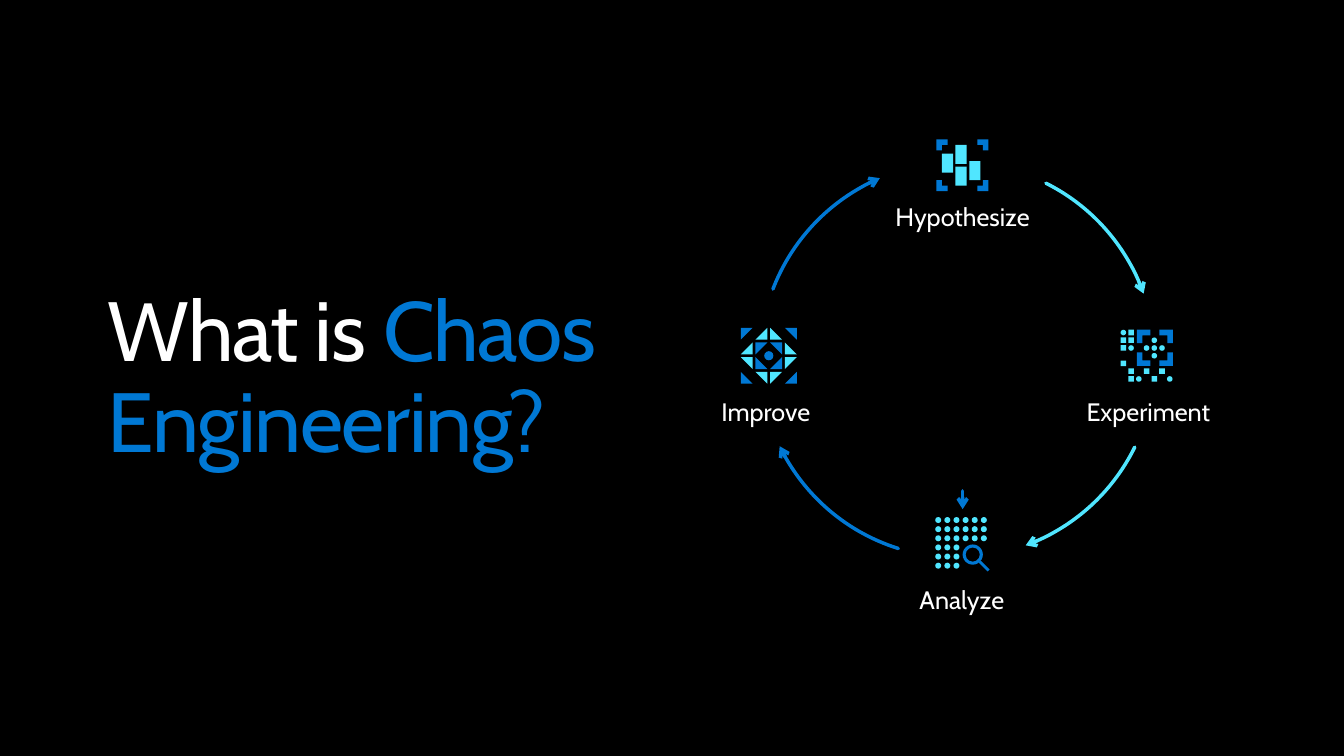
from itertools import product

from lxml import etree
from pptx import Presentation
from pptx.dml.color import RGBColor
from pptx.enum.shapes import MSO_CONNECTOR, MSO_SHAPE
from pptx.enum.text import MSO_ANCHOR, PP_ALIGN
from pptx.oxml.ns import qn
from pptx.util import Cm, Pt

RECT, OVAL, ARC, DONUT = (MSO_SHAPE.RECTANGLE, MSO_SHAPE.OVAL,
                          MSO_SHAPE.ARC, MSO_SHAPE.DONUT)
STRAIGHT = MSO_CONNECTOR.STRAIGHT
MIDDLE, BOTTOM = MSO_ANCHOR.MIDDLE, MSO_ANCHOR.BOTTOM
LEFT, CENTER = PP_ALIGN.LEFT, PP_ALIGN.CENTER

BLACK = RGBColor(0x00, 0x00, 0x00)
WHITE = RGBColor(0xFF, 0xFF, 0xFF)
BLUE = RGBColor(0x00, 0x78, 0xD4)
CYAN = RGBColor(0x50, 0xE6, 0xFF)

# All positions and lengths are in centimetres.
TITLE = [("What is ", WHITE), ("Chaos Engineering?", BLUE)]
TITLE_BOX = (2.72, 7.19, 14.78, 4.67)

LABELS = [  # text, centre x, top
    ("Hypothesize", 24.26, 5.08),
    ("Experiment", 28.94, 9.98),
    ("Analyze", 24.24, 14.73),
    ("Improve", 19.3, 9.98),
]
LABEL_W, LABEL_H = 4.1, 0.86

CYCLE_CENTER, CYCLE_RADIUS = (24.13, 9.07), 4.98
CYCLE_ARCS = [  # start and end in degrees, clockwise from the right
    (296.6, 340.4, CYAN),
    (26.2, 69.8, CYAN),
    (107.4, 154.1, BLUE),
    (201, 246.9, BLUE),
]

HYPOTHESIZE_AT, HYPOTHESIZE_SIDE = (23.6, 3.51), 1.31
BLOCKS = [(0.14, 0.36), (0.48, 0.14), (0.48, 0.69), (0.83, 0.55)]
BLOCK_W, BLOCK_H = 0.28, 0.48

EXPERIMENT_AT, EXPERIMENT_PITCH, EXPERIMENT_CELL = (28.24, 8.31), 1.17 / 6, 0.14
EXPERIMENT_CELLS = [  # o is a dot, # a square
    "o#.....",
    "##..o..",
    "#o.ooo.",
    "....o..",
    "#......",
    ".#.#.#.",
    ".#o.#.o",
]
FOCUS_AT, FOCUS_SIDE = (28.65, 8.31), 0.91

ANALYZE_AT, ANALYZE_PITCH, ANALYZE_DOT = (23.57, 13.03), 0.23, 0.15
ANALYZE_ROWS = [6, 6, 6, 3, 3, 3]
LENS_BOX = (24.26, 13.72, 0.51, 0.51)
LENS_HANDLE = [(24.66, 14.17), (24.71, 14.12), (24.94, 14.35), (24.89, 14.4)]
ANALYZE_ARROW = (24.26, 12.37, 24.26, 12.83)

IMPROVE_AT, IMPROVE_PITCH, IMPROVE_CELL = (18.67, 8.26), 0.37, 0.3
EYE = 0.23

prs = Presentation()
prs.slide_width, prs.slide_height = Cm(33.87), Cm(19.05)
slide = prs.slides.add_slide(prs.slide_layouts[6])
slide.background.fill.solid()
slide.background.fill.fore_color.rgb = BLACK


def paint(sp, color):
    sp.shadow.inherit = False
    sp.fill.solid()
    sp.fill.fore_color.rgb = color
    sp.line.fill.background()
    return sp


def add_solid(shapes, kind, box, color):
    return paint(shapes.add_shape(kind, *map(Cm, box)), color)


def add_polygon(shapes, points, color):
    points = [(Cm(x), Cm(y)) for x, y in points]
    builder = shapes.build_freeform(*points[0])
    builder.add_line_segments(points[1:], close=True)
    return paint(builder.convert_to_shape(), color)


def add_brackets(shapes, at, side, arm, thick=0.14):
    """Four corner brackets that frame a square."""
    outline = [(0, 0), (arm, 0), (arm, thick), (thick, thick), (thick, arm), (0, arm)]
    for right, bottom in product((False, True), repeat=2):
        add_polygon(shapes, [(at[0] + (side - x if right else x),
                              at[1] + (side - y if bottom else y))
                             for x, y in outline], BLUE)


def style_arrow(sp, color):
    sp.line.color.rgb = color
    sp.line.width = Pt(2.5)
    ln = sp.line._get_or_add_ln()
    ln.set("cap", "rnd")
    etree.SubElement(ln, qn("a:tailEnd"), type="arrow")


def add_text(box, runs, size, anchor, align, spacing=None):
    tf = slide.shapes.add_textbox(*map(Cm, box)).text_frame
    frame = {"word_wrap": True, "vertical_anchor": anchor, "margin_left": 0,
             "margin_right": 0, "margin_top": 0, "margin_bottom": 0}
    for name, value in frame.items():
        setattr(tf, name, value)
    p = tf.paragraphs[0]
    p.alignment, p.line_spacing = align, 0.9
    for text, color in runs:
        r = p.add_run()
        r.text = text
        for name, value in {"name": "Cabin", "size": Pt(size)}.items():
            setattr(r.font, name, value)
        r.font.color.rgb = color
        if spacing:
            r.font._element.set("spc", str(spacing))


def add_icon():
    return slide.shapes.add_group_shape().shapes


add_text(TITLE_BOX, TITLE, 60, BOTTOM, LEFT, spacing=-100)

cx, cy = CYCLE_CENTER
for start, end, color in CYCLE_ARCS:
    sp = slide.shapes.add_shape(ARC, Cm(cx - CYCLE_RADIUS), Cm(cy - CYCLE_RADIUS),
                                Cm(2 * CYCLE_RADIUS), Cm(2 * CYCLE_RADIUS))
    sp.shadow.inherit = False
    sp.fill.background()
    for i, angle in enumerate((start, end)):
        sp.adjustments[i] = angle * 0.6  # 60000 units a degree, scaled by 100000
    style_arrow(sp, color)

arrow = slide.shapes.add_connector(STRAIGHT, *map(Cm, ANALYZE_ARROW))
style_arrow(arrow, BLUE)
etree.SubElement(arrow._element.spPr, qn("a:effectLst"))

icon = add_icon()
left, top = HYPOTHESIZE_AT
for dx, dy in BLOCKS:
    add_solid(icon, RECT, (left + dx, top + dy, BLOCK_W, BLOCK_H), CYAN)
add_brackets(icon, HYPOTHESIZE_AT, HYPOTHESIZE_SIDE, arm=0.28)

icon = add_icon()
left, top = ANALYZE_AT
for row, count in enumerate(ANALYZE_ROWS):
    for col in range(count):
        add_solid(icon, OVAL, (left + col * ANALYZE_PITCH, top + row * ANALYZE_PITCH,
                               ANALYZE_DOT, ANALYZE_DOT), CYAN)
add_solid(icon, DONUT, LENS_BOX, BLUE).adjustments[0] = 0.15
add_polygon(icon, LENS_HANDLE, BLUE)

icon = add_icon()
add_brackets(icon, FOCUS_AT, FOCUS_SIDE, arm=0.34)
left, top = EXPERIMENT_AT
for row, cells in enumerate(EXPERIMENT_CELLS):
    for col, cell in enumerate(cells):
        if cell != ".":
            add_solid(icon, OVAL if cell == "o" else RECT,
                      (left + col * EXPERIMENT_PITCH, top + row * EXPERIMENT_PITCH,
                       EXPERIMENT_CELL, EXPERIMENT_CELL), CYAN)

# Diagonal triangles point to the outer corners, the others to the centre.
icon = add_icon()
left, top = IMPROVE_AT
for row, col in product(range(4), repeat=2):
    diagonal = row in (col, 3 - col)
    x, y = left + col * IMPROVE_PITCH, top + row * IMPROVE_PITCH
    near_x, far_x = x, x + IMPROVE_CELL
    near_y, far_y = y, y + IMPROVE_CELL
    if (col < 2) != diagonal:
        near_x, far_x = far_x, near_x
    if (row < 2) != diagonal:
        near_y, far_y = far_y, near_y
    add_polygon(icon, [(near_x, near_y), (far_x, near_y), (near_x, far_y)],
                BLUE if diagonal else CYAN)
eye_offset = (3 * IMPROVE_PITCH + IMPROVE_CELL - EYE) / 2
add_solid(icon, OVAL, (left + eye_offset, top + eye_offset, EYE, EYE), BLUE)

for text, center, top in LABELS:
    add_text((center - LABEL_W / 2, top, LABEL_W, LABEL_H), [(text, WHITE)],
             18, MIDDLE, CENTER)

prs.save("out.pptx")
